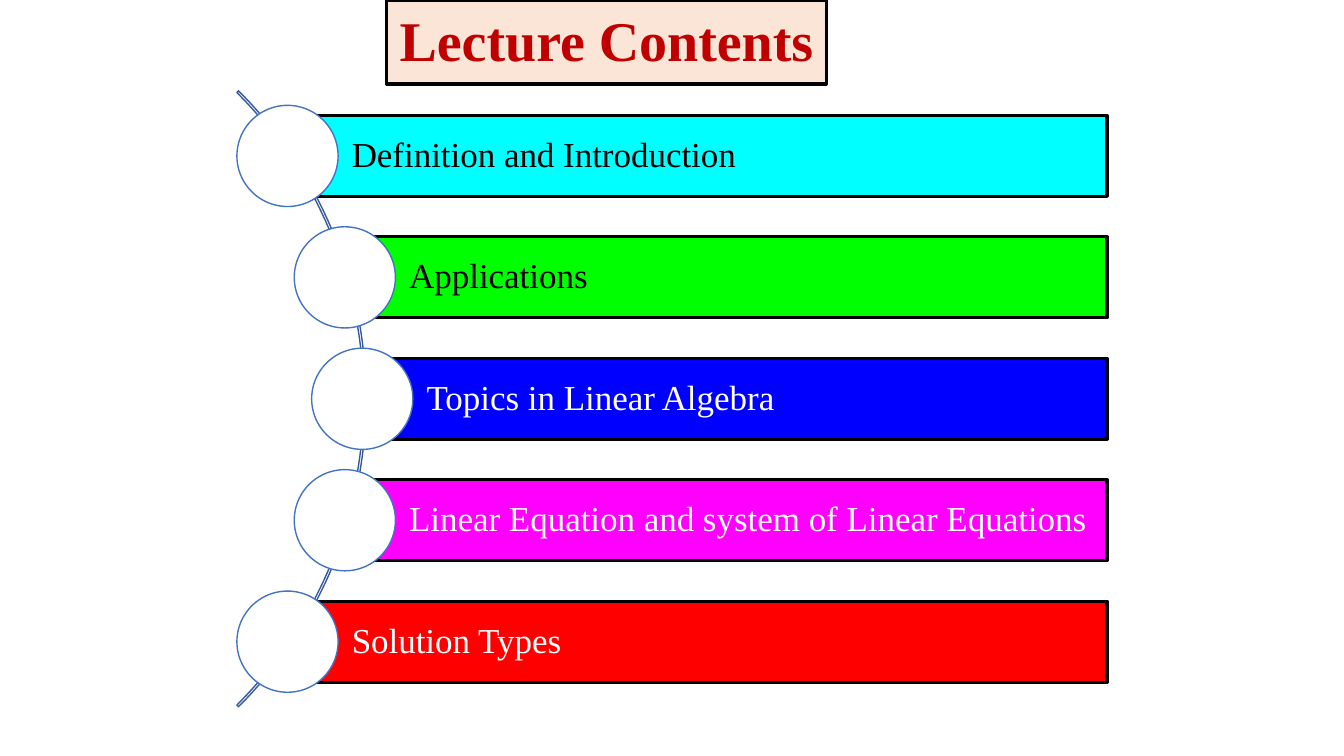
from dataclasses import dataclass
from math import sqrt

from pptx import Presentation
from pptx.dml.color import RGBColor
from pptx.enum.shapes import MSO_SHAPE
from pptx.enum.text import MSO_ANCHOR, MSO_AUTO_SIZE, PP_ALIGN
from pptx.shapes.autoshape import Shape
from pptx.slide import Slide
from pptx.util import Cm, Pt

FONT = "Times New Roman"
BLACK = RGBColor(0x00, 0x00, 0x00)
WHITE = RGBColor(0xFF, 0xFF, 0xFF)
CYAN = RGBColor(0x00, 0xFF, 0xFF)
GREEN = RGBColor(0x00, 0xFF, 0x00)
BLUE = RGBColor(0x00, 0x00, 0xFF)
MAGENTA = RGBColor(0xFF, 0x00, 0xFF)
RED = RGBColor(0xFF, 0x00, 0x00)
PEACH = RGBColor(0xFB, 0xE5, 0xD6)
DARK_RED = RGBColor(0xC0, 0x00, 0x00)
ARC_BLUE = RGBColor(0x36, 0x5B, 0x9D)
CIRCLE_BLUE = RGBColor(0x44, 0x72, 0xC4)

# Geometry in centimetres: the circles sit on an arc around this centre
CENTER_X, CENTER_Y = -1.75, 10.05
ARC_DIAMETER = 21.95
ARC_THICKNESS = 0.06
CIRCLE_ORBIT = 10.88
CIRCLE_DIAMETER = 2.55
ROW_PITCH = 3.06
BAR_HEIGHT = 2.04
BAR_RIGHT = 27.9


@dataclass(frozen=True)
class Topic:
    text: str
    fill: RGBColor
    text_color: RGBColor


TOPICS = [
    Topic("Definition and Introduction", CYAN, BLACK),
    Topic("Applications", GREEN, BLACK),
    Topic("Topics in Linear Algebra", BLUE, WHITE),
    Topic("Linear Equation and system of Linear Equations", MAGENTA, WHITE),
    Topic("Solution Types", RED, WHITE),
]


def add_outlined(slide: Slide, kind: MSO_SHAPE, left: float, top: float,
                 width: float, height: float, line: RGBColor,
                 line_width: float) -> Shape:
    shape = slide.shapes.add_shape(kind, Cm(left), Cm(top), Cm(width), Cm(height))
    shape.shadow.inherit = False
    shape.line.color.rgb = line
    shape.line.width = Pt(line_width)
    return shape


def format_text(shape: Shape, text: str, size: float, color: RGBColor,
                alignment: PP_ALIGN, bold: bool = False) -> None:
    shape.text_frame.text = text
    paragraph = shape.text_frame.paragraphs[0]
    paragraph.alignment = alignment
    paragraph.line_spacing = 1.0 if bold else 0.9
    font = paragraph.runs[0].font
    font.name, font.size, font.bold = FONT, Pt(size), bold
    font.color.rgb = color


def add_title(slide: Slide) -> None:
    title = slide.shapes.title
    title.left, title.top, title.width, title.height = Cm(9.75), Cm(0), Cm(11.07), Cm(1.96)
    title.fill.solid()
    title.fill.fore_color.rgb = PEACH
    title.line.color.rgb = BLACK
    title.line.width = Pt(2.25)
    format_text(title, "Lecture Contents", 40, DARK_RED, PP_ALIGN.CENTER, bold=True)
    frame = title.text_frame
    frame.vertical_anchor = MSO_ANCHOR.TOP
    frame.word_wrap = False
    frame.auto_size = MSO_AUTO_SIZE.SHAPE_TO_FIT_TEXT


def add_arc(slide: Slide) -> None:
    radius = ARC_DIAMETER / 2
    arc = add_outlined(slide, MSO_SHAPE.BLOCK_ARC, CENTER_X - radius, CENTER_Y - radius,
                       ARC_DIAMETER, ARC_DIAMETER, ARC_BLUE, 1)
    arc.fill.background()
    # Start and end angles (315° and 45°) in units of 100000/60000 degrees
    arc.adjustments[0] = 189
    arc.adjustments[1] = 27
    arc.adjustments[2] = ARC_THICKNESS / ARC_DIAMETER


def add_topic(slide: Slide, topic: Topic, offset: float) -> None:
    x = CENTER_X + sqrt(CIRCLE_ORBIT ** 2 - offset ** 2)
    y = CENTER_Y + offset

    # Bar with its label
    bar = add_outlined(slide, MSO_SHAPE.RECTANGLE, x, y - BAR_HEIGHT / 2,
                       BAR_RIGHT - x, BAR_HEIGHT, BLACK, 2.25)
    bar.fill.solid()
    bar.fill.fore_color.rgb = topic.fill
    format_text(bar, topic.text, 25, topic.text_color, PP_ALIGN.LEFT)
    frame = bar.text_frame
    frame.word_wrap = True
    frame.vertical_anchor = MSO_ANCHOR.MIDDLE
    frame.margin_left = Cm(1.62)
    frame.margin_top = frame.margin_right = frame.margin_bottom = Cm(0.18)

    # Circle over the bar's left end
    radius = CIRCLE_DIAMETER / 2
    circle = add_outlined(slide, MSO_SHAPE.OVAL, x - radius, y - radius,
                          CIRCLE_DIAMETER, CIRCLE_DIAMETER, CIRCLE_BLUE, 1)
    circle.fill.solid()
    circle.fill.fore_color.rgb = WHITE


def main() -> None:
    presentation = Presentation()
    presentation.slide_width, presentation.slide_height = Cm(33.87), Cm(19.05)
    slide = presentation.slides.add_slide(presentation.slide_layouts.get_by_name("Title Only"))

    add_title(slide)
    add_arc(slide)
    middle = (len(TOPICS) - 1) / 2
    for index, topic in enumerate(TOPICS):
        add_topic(slide, topic, (index - middle) * ROW_PITCH)

    presentation.save("out.pptx")


if __name__ == "__main__":
    main()
